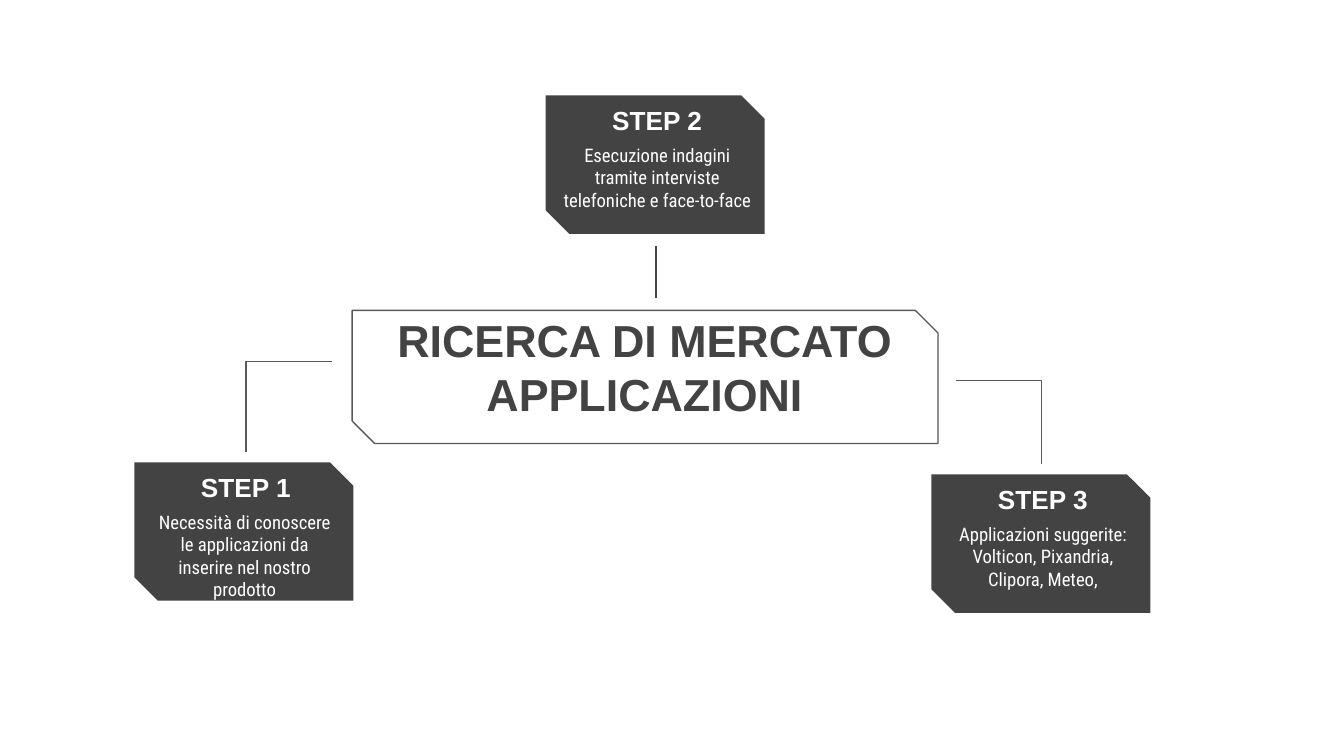
import pptx
import pptx.dml.color
import pptx.enum.shapes
import pptx.enum.text
import pptx.oxml.ns
import pptx.util
from lxml import etree
from pptx.util import Inches

DARK = "434343"
GREY = "595959"
WHITE = "FFFFFF"
STEPS = [
    ("STEP 1", ["Necessità di conoscere le applicazioni da inserire nel nostro prodotto"], 1, 3.44, 1.58),
    ("STEP 2", ["Esecuzione indagini tramite interviste telefoniche e face-to-face"], 4.06, 0.71, 1.6),
    ("STEP 3", ["Applicazioni suggerite:", "Volticon, Pixandria, Clipora, Meteo,"], 6.93, 3.53, 1.6),
]


def color(hex_value):
    return pptx.dml.color.RGBColor.from_string(hex_value)


def add_panel(slide, left, top, width, height, fill=None, line=None):
    panel = slide.shapes.add_shape(
        pptx.enum.shapes.MSO_SHAPE.SNIP_2_DIAG_RECTANGLE,
        Inches(left), Inches(top), Inches(width), Inches(height))
    panel.shadow.inherit = False
    panel.adjustments[0] = 0
    panel.adjustments[1] = 0.17
    if fill:
        panel.fill.solid()
        panel.fill.fore_color.rgb = color(fill)
    else:
        panel.fill.background()
    if line:
        panel.line.color.rgb = color(line)
        panel.line.width = pptx.util.Pt(0.75)
    else:
        panel.line.fill.background()


def add_label(slide, paragraphs, left, top, width, height, size, font, hex_value, heading=False):
    label = slide.shapes.add_textbox(Inches(left), Inches(top), Inches(width), Inches(height))
    frame = label.text_frame
    frame.word_wrap = True
    anchors = pptx.enum.text.MSO_ANCHOR
    frame.vertical_anchor = anchors.BOTTOM if heading else anchors.TOP
    frame.margin_left = frame.margin_right = Inches(0.1)
    frame.margin_top = frame.margin_bottom = Inches(0.1)
    frame.text = "\n".join(paragraphs)
    for paragraph in frame.paragraphs:
        paragraph.alignment = pptx.enum.text.PP_ALIGN.CENTER
        for run in paragraph.runs:
            run.font.size = pptx.util.Pt(size)
            run.font.name = font
            run.font.bold = heading
            run.font.color.rgb = color(hex_value)


def add_step(slide, heading, description, left, top, description_width):
    add_panel(slide, left, top, 1.63, 1.03, fill=DARK)
    add_label(slide, [heading], left + 0.05, top - 0.03, 1.56, 0.43, 14, "Arial", WHITE, heading=True)
    add_label(slide, description, left + 0.03, top + 0.26, description_width, 0.68,
              10, "Roboto Condensed", WHITE)


def add_link(slide, start, end, hex_value, bent=False):
    kinds = pptx.enum.shapes.MSO_CONNECTOR
    link = slide.shapes.add_connector(
        kinds.ELBOW if bent else kinds.STRAIGHT,
        *(Inches(length) for length in start + end))
    link.line.color.rgb = color(hex_value)
    link.line.width = pptx.util.Pt(0.75)
    properties = link._element.spPr
    etree.SubElement(properties, pptx.oxml.ns.qn("a:effectLst"))
    if bent:
        guides = properties.find(".//" + pptx.oxml.ns.qn("a:avLst"))
        etree.SubElement(guides, pptx.oxml.ns.qn("a:gd"), name="adj1", fmla="val 100000")


def main():
    presentation = pptx.Presentation()
    presentation.slide_width = Inches(10)
    presentation.slide_height = Inches(10 * 9 / 16)
    slide = presentation.slides.add_slide(presentation.slide_layouts[6])

    for step in STEPS:
        add_step(slide, *step)

    add_panel(slide, 2.62, 2.31, 4.36, 0.99, line=GREY)
    add_label(slide, ["RICERCA DI MERCATO APPLICAZIONI"], 2.8, 2.4, 3.99, 0.83,
              24, "Arial", DARK, heading=True)

    add_link(slide, (2.47, 2.69), (1.83, 3.36), GREY, bent=True)
    add_link(slide, (4.88, 1.83), (4.88, 2.22), DARK)
    add_link(slide, (7.11, 2.83), (7.75, 3.45), GREY, bent=True)

    presentation.save("out.pptx")


if __name__ == "__main__":
    main()
